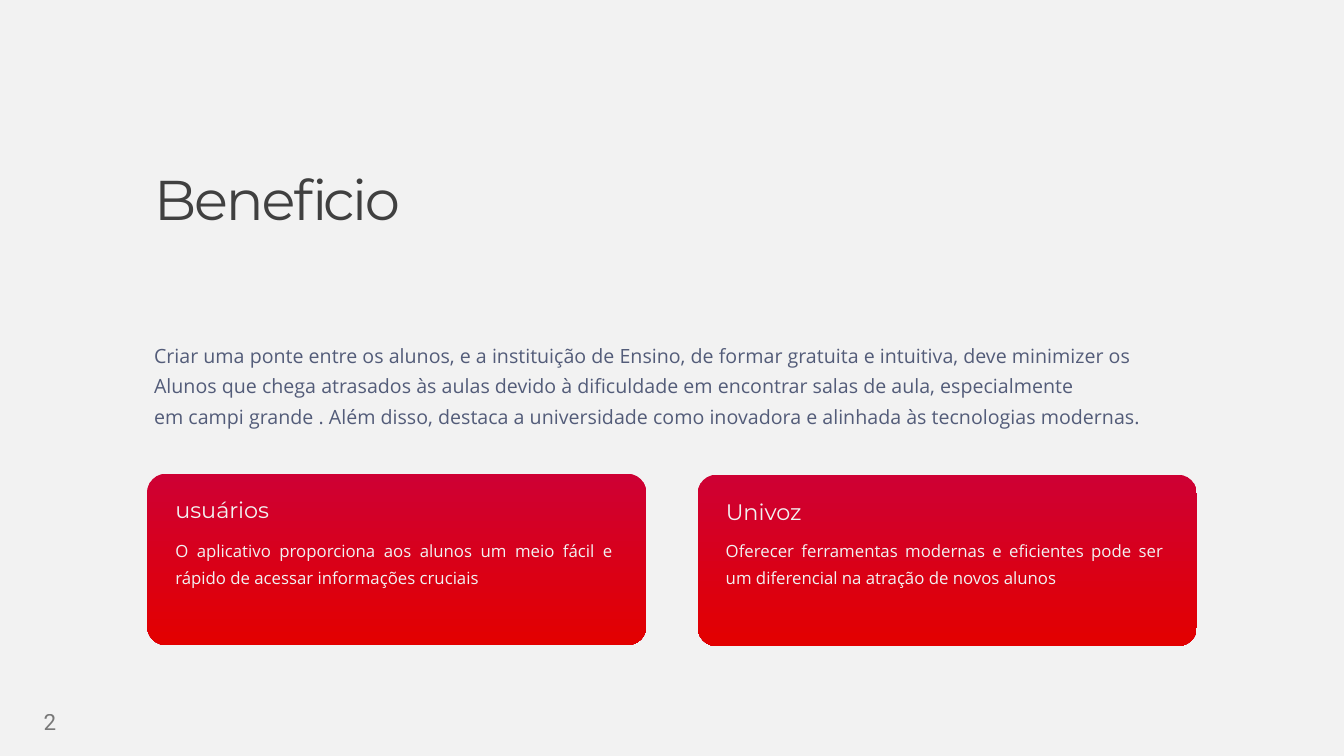
from lxml.etree import SubElement
from pptx import Presentation
from pptx.dml.color import RGBColor
from pptx.enum.shapes import MSO_SHAPE
from pptx.enum.text import MSO_ANCHOR, MSO_AUTO_SIZE, PP_ALIGN
from pptx.oxml.ns import qn
from pptx.util import Inches, Pt

TITLE = "Beneficio"
INTRO = ("Criar uma ponte entre os alunos, e a instituição de Ensino, de formar gratuita e "
         "intuitiva, deve minimizer os Alunos que chega atrasados às aulas devido à "
         "dificuldade em encontrar salas de aula, especialmente em\u00a0campi\u00a0grande . "
         "Além disso, destaca a universidade como inovadora e alinhada às "
         "tecnologias\u00a0modernas.")
# heading, body, card top, heading top
CARDS = [
    ("usuários", "O aplicativo proporciona aos alunos um meio fácil e rápido de acessar "
     "informações\u00a0cruciais", 4.70, 4.79),
    ("Univoz", "Oferecer ferramentas modernas e eficientes pode ser um diferencial na "
     "atração\u00a0de\u00a0novos\u00a0alunos", 4.71, 4.81),
]
PAGE = "2"

CARD_LEFT, CARD_STEP, CARD_W, CARD_H = 1.46, 5.46, 4.95, 1.7
TEXT_INDENT, BODY_TOP = 0.18, 5.26
GRADIENT = [(0.01, "CE0033"), (1, "E30000")]
LIGHT = "F2F2F2"

TITLE_FONT = {"name": "Montserrat", "size": Pt(40)}
INTRO_FONT = {"name": "Open Sans", "size": Pt(14)}
HEAD_FONT = {"name": "Montserrat", "size": Pt(16)}
BODY_FONT = {"name": "Open Sans", "size": Pt(12)}
PAGE_FONT = {"name": "Roboto", "size": Pt(16)}


def rgb(value):
    """Turn a hex string into a colour."""
    return RGBColor.from_string(value)


def add_text(slide, text, box, font, color, **para):
    """Add a wrapped text box with one run and return the run."""
    tf = slide.shapes.add_textbox(*map(Inches, box)).text_frame
    tf.word_wrap = True
    tf.auto_size = MSO_AUTO_SIZE.SHAPE_TO_FIT_TEXT
    p = tf.paragraphs[0]
    for key, value in para.items():
        setattr(p, key, value)
    r = p.add_run()
    r.text = text
    for key, value in font.items():
        setattr(r.font, key, value)
    r.font.color.rgb = rgb(color)
    return r


def add_card(slide, left, top):
    """Add a rounded card with a vertical red gradient."""
    sp = slide.shapes.add_shape(MSO_SHAPE.ROUNDED_RECTANGLE,
                                *map(Inches, (left, top, CARD_W, CARD_H)))
    sp.adjustments[0] = 0.109
    sp.shadow.inherit = False
    sp.line.fill.background()
    sp.fill.gradient()
    sp.fill.gradient_angle = 270
    for stop, (position, color) in zip(sp.fill.gradient_stops, GRADIENT):
        stop.position = position
        stop.color.rgb = rgb(color)


prs = Presentation()
prs.slide_width, prs.slide_height = Inches(13.33), Inches(7.5)
slide = prs.slides.add_slide(prs.slide_layouts[6])
slide.background.fill.solid()
slide.background.fill.fore_color.rgb = rgb(LIGHT)

page = add_text(slide, PAGE, (0.19, 6.97, 0.61, 0.37), PAGE_FONT, "000000",
                alignment=PP_ALIGN.CENTER)
slide.shapes[0].text_frame.vertical_anchor = MSO_ANCHOR.MIDDLE
page_color = page.font.fill.fore_color.rgb
SubElement(page.font._element.find(".//" + qn("a:srgbClr")), qn("a:alpha"), val="50000")

add_text(slide, INTRO, (1.43, 3.29, 10.06, 0.99), INTRO_FONT, "535C79", line_spacing=1.3)
title = add_text(slide, TITLE, (1.43, 1.58, 8.76, 0.77), TITLE_FONT, "404040")
title.font._element.set("spc", "-150")

for i, (heading, body, card_top, head_top) in enumerate(CARDS):
    left = CARD_LEFT + i * CARD_STEP
    text_left = left + TEXT_INDENT
    add_card(slide, left, card_top)
    add_text(slide, body, (text_left, BODY_TOP, 4.54, 0.6), BODY_FONT, LIGHT,
             line_spacing=1.3, alignment=PP_ALIGN.JUSTIFY)
    add_text(slide, heading, (text_left, head_top, 4.75, 0.43), HEAD_FONT, LIGHT,
             line_spacing=1.3)

prs.save("out.pptx")
